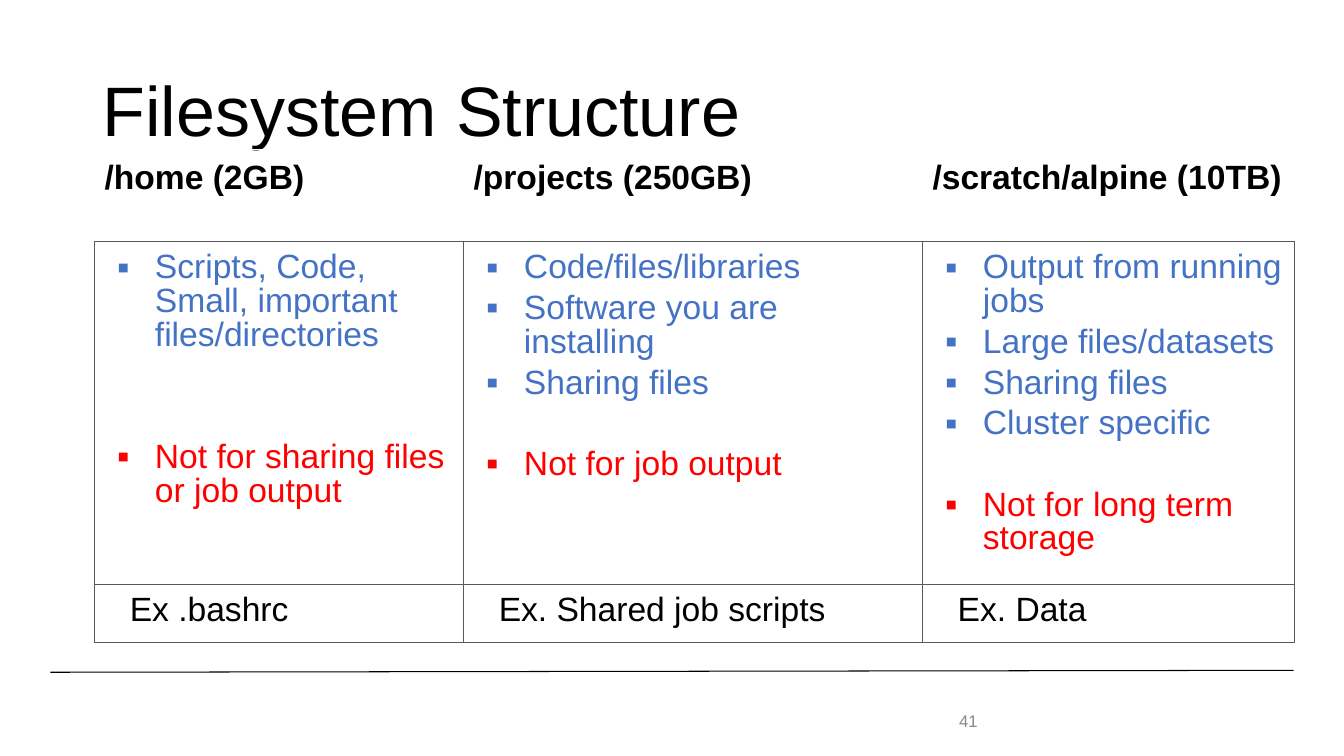
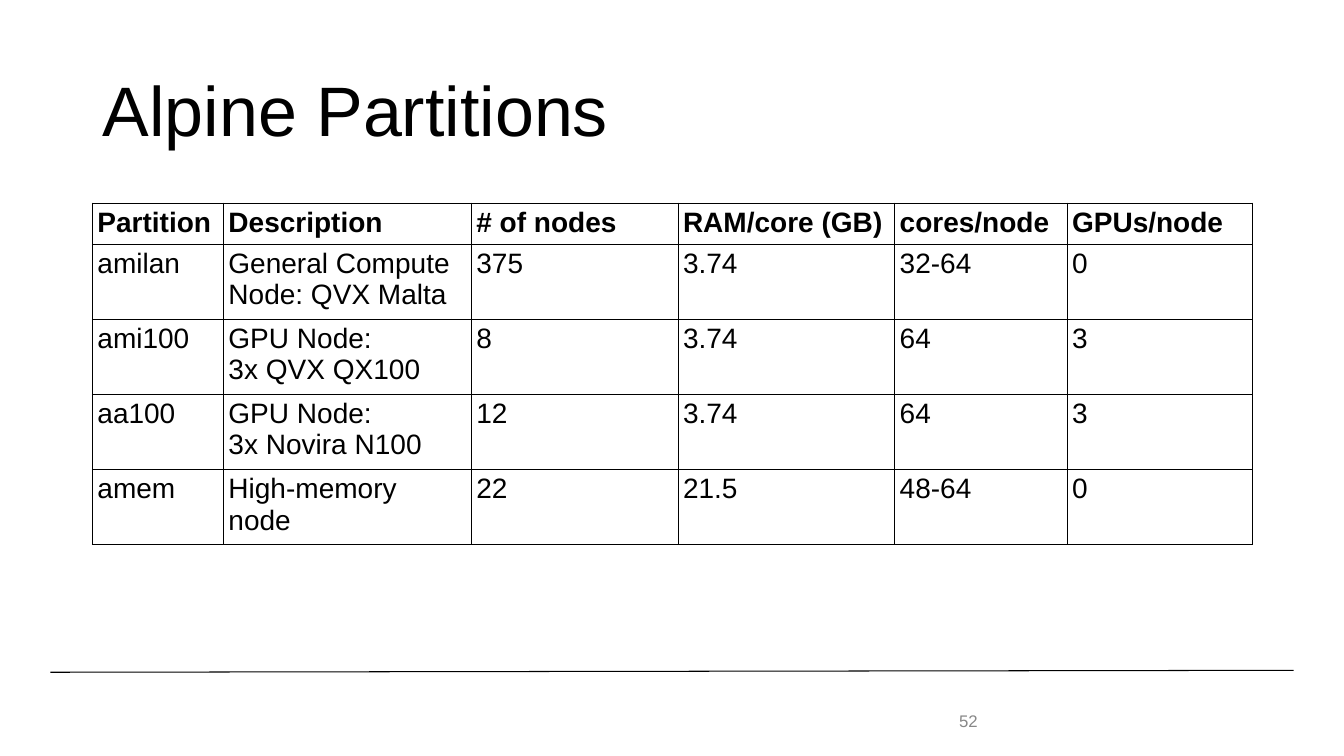
from lxml.etree import SubElement
from pptx import Presentation
from pptx.dml.color import RGBColor
from pptx.enum.shapes import MSO_CONNECTOR
from pptx.enum.text import MSO_ANCHOR, PP_ALIGN
from pptx.oxml.ns import qn
from pptx.util import Pt

COLORS = {
    "black": "000000",
    "white": "FFFFFF",
    "gray": "595959",
    "number": "888888",
    "blue": "4472C4",
    "red": "FF0000",
}
FONT = "Arial"


def write_paragraph(para, text, size, color, bold=False, spacing=None,
                    before=0, indent=None, bullet=False):
    para.alignment = PP_ALIGN.LEFT
    para.space_before = Pt(before)
    if spacing:
        para.line_spacing = spacing
    if indent:
        properties = para._p.get_or_add_pPr()
        for name, value in zip(("marL", "indent"), indent):
            properties.set(name, str(Pt(value)))
        if bullet:
            bullet_color = SubElement(properties, qn("a:buClr"))
            SubElement(bullet_color, qn("a:srgbClr"), val=COLORS[color])
            SubElement(properties, qn("a:buSzPct"), val="105000")
            SubElement(properties, qn("a:buFont"), typeface=FONT)
            SubElement(properties, qn("a:buChar"), char="▪")
    span = para.add_run()
    span.text = text
    for name, value in {"name": FONT, "size": Pt(size), "bold": bold}.items():
        setattr(span.font, name, value)
    span.font.color.rgb = RGBColor.from_string(COLORS[color])


def fill_cell(cell, items, margins, borders):
    sides = ("left", "right", "top", "bottom")
    for side, margin in zip(sides, margins):
        setattr(cell, f"margin_{side}", Pt(margin))
    properties = cell._tc.get_or_add_tcPr()
    for side, color in zip("LRTB", borders):
        line = SubElement(properties, qn(f"a:ln{side}"), w=str(Pt(0.75)))
        line_fill = SubElement(line, qn("a:solidFill"))
        SubElement(line_fill, qn("a:srgbClr"), val=COLORS[color])
    cell.fill.background()
    frame = cell.text_frame
    for index, (text, style) in enumerate(items):
        para = frame.add_paragraph() if index else frame.paragraphs[0]
        write_paragraph(para, text, **style)


deck = Presentation()
deck.slide_width, deck.slide_height = Pt(960), Pt(540)
layout = deck.slide_layouts[5]

pages = []
for heading, number in (("Filesystem Structure", "41"), ("Alpine Partitions", "52")):
    page = deck.slides.add_slide(layout)
    title = page.shapes.title
    number_box = page.shapes.add_textbox(Pt(678), Pt(500.4), Pt(54), Pt(28.8))
    title.left, title.top, title.width, title.height = Pt(66), Pt(28.8), Pt(828), Pt(104.4)
    for box, text, style in (
        (title, heading, {"size": 50, "color": "black", "spacing": 0.9}),
        (number_box, number, {"size": 12, "color": "number"}),
    ):
        box.text_frame.word_wrap = True
        box.text_frame.vertical_anchor = MSO_ANCHOR.MIDDLE
        write_paragraph(box.text_frame.paragraphs[0], text, **style)
    pages.append(page)

footer_rule = pages[0].shapes.add_connector(
    MSO_CONNECTOR.STRAIGHT, Pt(36), Pt(480.2), Pt(924), Pt(478.8))
footer_rule.line.color.rgb = RGBColor.from_string(COLORS["black"])
footer_rule.line.width = Pt(0.75)
SubElement(footer_rule._element.spPr, qn("a:effectLst"))
layout.shapes.element.append(footer_rule._element)

header = {"size": 24, "color": "black", "bold": True}
use = {"size": 24, "color": "blue", "spacing": 0.9, "indent": (36, -27), "bullet": True}
avoid = use | {"color": "red"}
example = {"size": 24, "color": "black", "spacing": 0.9, "indent": (36, -18)}

filesystems = [
    ("/home (2GB)",
     ["Scripts, Code, Small, important files/directories"],
     "Not for sharing files or job output", 63, "Ex .bashrc"),
    ("/projects (250GB)",
     ["Code/files/libraries", "Software you are installing", "Sharing files"],
     "Not for job output", 34, "Ex. Shared job scripts"),
    ("/scratch/alpine (10TB)",
     ["Output from running jobs", "Large files/datasets", "Sharing files", "Cluster specific"],
     "Not for long term storage", 34, "Ex. Data"),
]
filesystem_rows = [[], [], []]
for name, uses, warning, gap, sample in filesystems:
    details = [(text, use | {"before": 5 if index else 0}) for index, text in enumerate(uses)]
    details.append((warning, avoid | {"before": gap}))
    for row, items in zip(filesystem_rows, ([(name, header)], details, [(sample, example)])):
        row.append(items)

partitions = [
    ("Partition", "Description", "# of nodes", "RAM/core (GB)", "cores/node", "GPUs/node"),
    ("amilan", "General Compute Node: QVX Malta", "375", "3.74", "32-64", "0"),
    ("ami100", "GPU Node:\n3x QVX QX100", "8", "3.74", "64", "3"),
    ("aa100", "GPU Node:\n3x Novira N100", "12", "3.74", "64", "3"),
    ("amem", "High-memory node", "22", "21.5", "48-64", "0"),
]
partition_rows = [
    [[(text, {"size": 20, "color": "black", "bold": index == 0}) for text in value.split("\n")]
     for value in values]
    for index, values in enumerate(partitions)
]

tables = [
    {"rows": filesystem_rows, "left": 67.5, "top": 106.5,
     "widths": (263.6, 327.8, 265.6), "heights": (66.3, 243, 41.5),
     "margins": (7.2,) * 4, "borders": ("gray",) * 4,
     "header_borders": ("white", "white", "white", "gray")},
    {"rows": partition_rows, "left": 66, "top": 145,
     "widths": (93.6, 177.1, 147.6, 154.8, 123.1, 132.5), "heights": (28.6,) + (51.4,) * 4,
     "margins": (3.6, 3.6, 2.8, 2.8), "borders": ("black",) * 4,
     "header_borders": ("black",) * 4},
]
for page, layout_values in zip(pages, tables):
    rows, widths, heights = (layout_values[key] for key in ("rows", "widths", "heights"))
    table = page.shapes.add_table(
        len(rows), len(widths), Pt(layout_values["left"]), Pt(layout_values["top"]),
        Pt(sum(widths)), Pt(sum(heights))).table
    table.first_row = table.horz_banding = False
    for column, width in zip(table.columns, widths):
        column.width = Pt(width)
    for row_index, (row, height) in enumerate(zip(rows, heights)):
        table.rows[row_index].height = Pt(height)
        borders = layout_values["borders" if row_index else "header_borders"]
        for column_index, items in enumerate(row):
            fill_cell(table.cell(row_index, column_index), items,
                      layout_values["margins"], borders)

deck.save("out.pptx")
